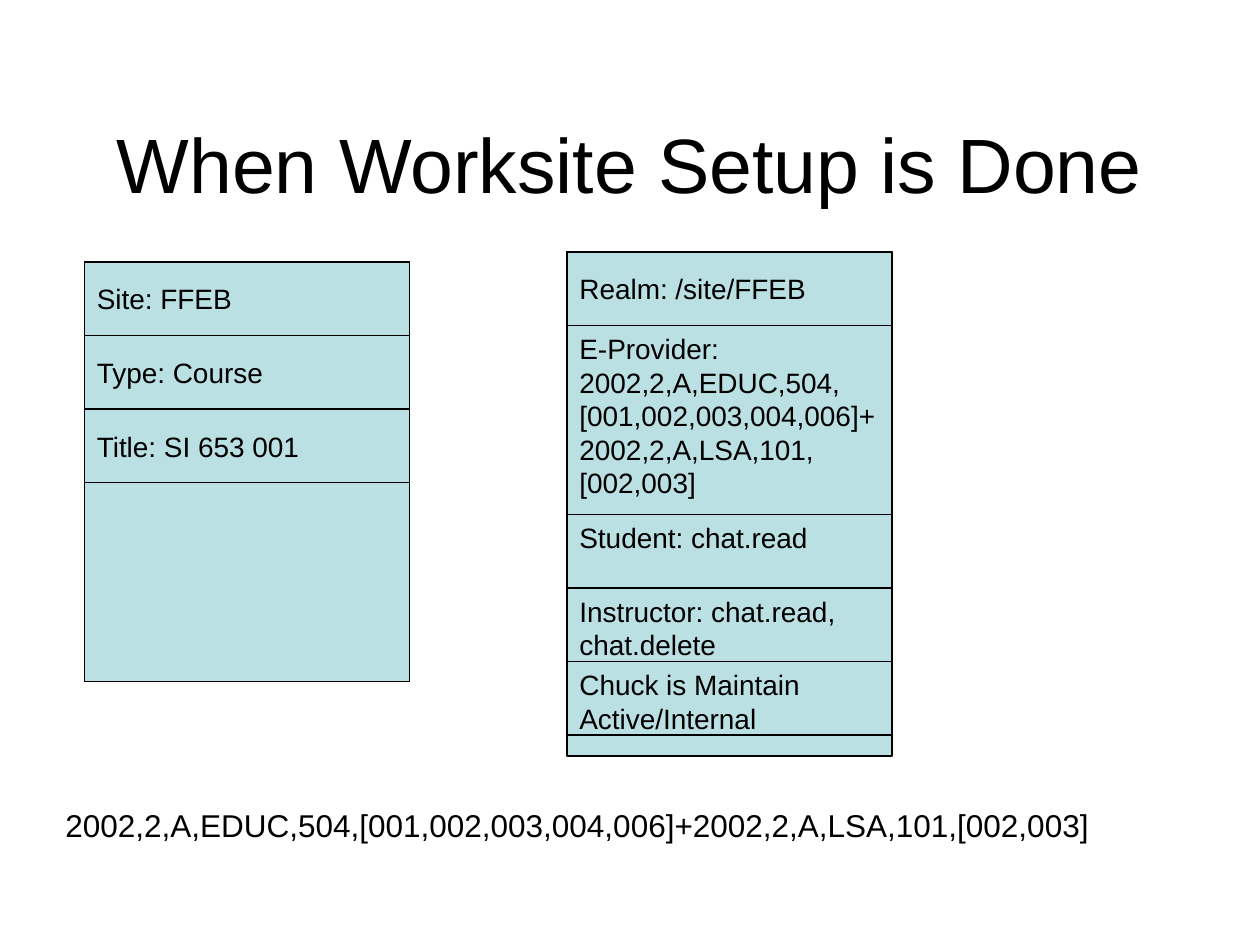
from pptx import Presentation
from pptx.dml.color import RGBColor
from pptx.enum.shapes import MSO_SHAPE as Shape
from pptx.enum.text import MSO_ANCHOR as Anchor, MSO_AUTO_SIZE as AutoSize, PP_ALIGN as Align
from pptx.util import Inches, Pt

BLACK = RGBColor(0x00, 0x00, 0x00)
PALE_TEAL = RGBColor(0xBB, 0xE0, 0xE3)
ROW = 7 / 12
EPROVIDER_HEIGHT = 1.5

SITE_ROWS = [
    (["Site: FFEB"], ROW, Anchor.MIDDLE),
    (["Type: Course"], ROW, Anchor.MIDDLE),
    (["Title: SI 653 001"], ROW, Anchor.MIDDLE),
]
REALM_ROWS = [
    (["Realm: /site/FFEB"], ROW, Anchor.MIDDLE),
    (["E-Provider:", "2002,2,A,EDUC,504,[001,002,003,004,006]+",
      "2002,2,A,LSA,101,[002,003]"], EPROVIDER_HEIGHT, Anchor.TOP),
    (["Student: chat.read"], ROW, Anchor.TOP),
    (["Instructor: chat.read, chat.delete"], ROW, Anchor.TOP),
    (["Chuck is Maintain", "Active/Internal"], ROW, Anchor.TOP),
]


def write(frame, lines, size, anchor=Anchor.TOP, align=Align.LEFT, auto_size=AutoSize.NONE):
    frame.text = "\n".join(lines)
    frame_format = {"word_wrap": True, "vertical_anchor": anchor, "auto_size": auto_size}
    for name, value in frame_format.items():
        setattr(frame, name, value)
    for paragraph in frame.paragraphs:
        paragraph.alignment = align
        for name, value in {"name": "Arial", "size": Pt(size)}.items():
            setattr(paragraph.font, name, value)
        paragraph.font.color.rgb = BLACK


def add_title(slide, left, top, width, height):
    title = slide.shapes.title
    box = {"left": left, "top": top, "width": width, "height": height}
    for name, value in box.items():
        setattr(title, name, Inches(value))
    write(title.text_frame, ["When Worksite Setup is Done"], 44, Anchor.MIDDLE, Align.CENTER)


def add_cell(slide, left, top, width, height):
    cell = slide.shapes.add_shape(Shape.RECTANGLE, *map(Inches, (left, top, width, height)))
    cell.shadow.inherit = False
    cell.fill.solid()
    cell.fill.fore_color.rgb = PALE_TEAL
    cell.line.color.rgb = BLACK
    cell.line.width = Pt(0.75)
    return cell


def add_record(slide, left, top, width, height, rows):
    add_cell(slide, left, top, width, height)
    for lines, row_height, anchor in rows:
        cell = add_cell(slide, left, top, width, row_height)
        write(cell.text_frame, lines, 16, anchor)
        top += row_height


def add_provider_id(slide, left, top, width, height):
    provider_id = slide.shapes.add_textbox(*map(Inches, (left, top, width, height)))
    write(provider_id.text_frame,
          ["2002,2,A,EDUC,504,[001,002,003,004,006]+2002,2,A,LSA,101,[002,003]"],
          18, auto_size=AutoSize.SHAPE_TO_FIT_TEXT)


def main():
    deck = Presentation()
    deck.slide_width, deck.slide_height = Inches(10), Inches(7.5)
    slide = deck.slides.add_slide(deck.slide_layouts[5])
    add_title(slide, 0.75, 0.67, 8.5, 1.25)
    add_record(slide, 0.67, 2.08, 2.58, 3.33, SITE_ROWS)
    add_record(slide, 4.5, 2, 2.58, 4, REALM_ROWS)
    add_provider_id(slide, 0.42, 6.35, 9.25, 0.4)
    deck.save("out.pptx")


if __name__ == "__main__":
    main()
